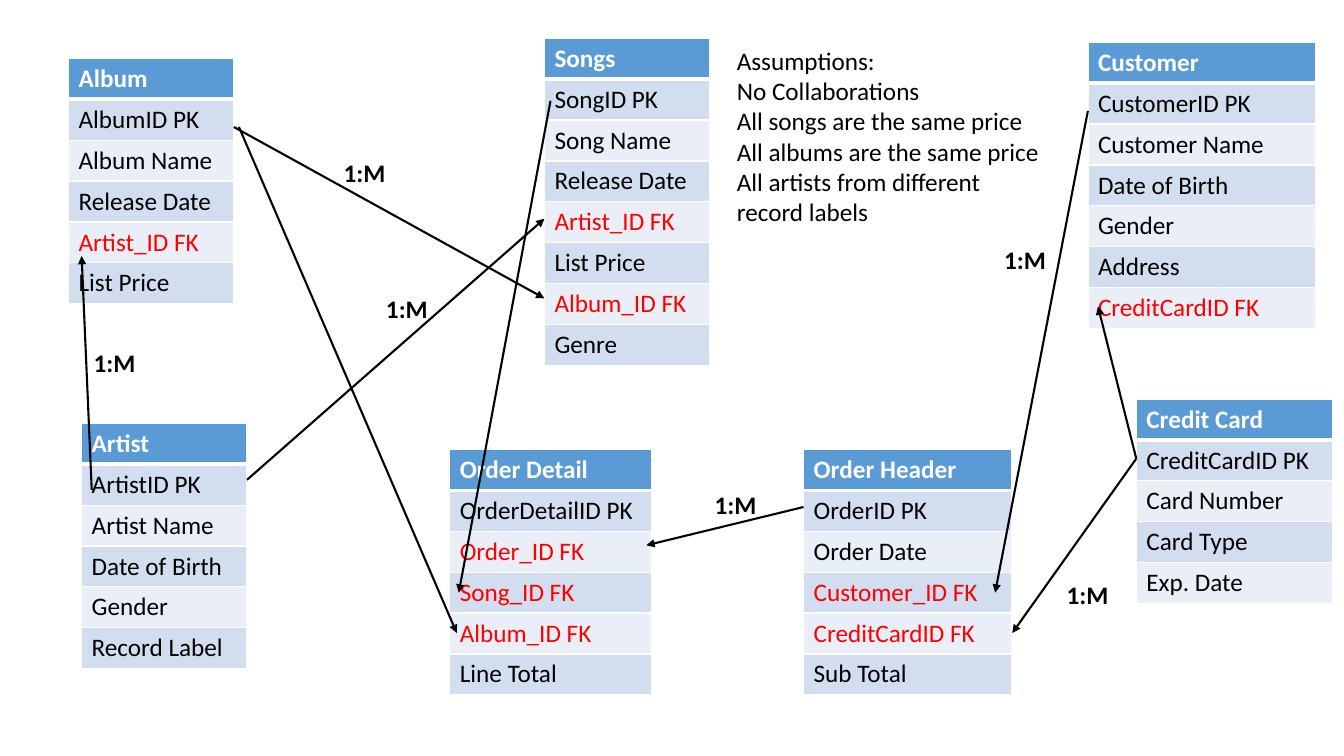
from dataclasses import dataclass

from lxml import etree
from pptx import Presentation
from pptx.dml.color import RGBColor
from pptx.enum.shapes import MSO_CONNECTOR
from pptx.enum.text import MSO_ANCHOR, MSO_AUTO_SIZE
from pptx.oxml.ns import qn
from pptx.util import Inches, Pt

STRAIGHT = MSO_CONNECTOR.STRAIGHT
TOP = MSO_ANCHOR.TOP
GROW = MSO_AUTO_SIZE.SHAPE_TO_FIT_TEXT
BLANK_LAYOUT = 6
ROW_HEIGHT = Inches(3.24) // 8


@dataclass(frozen=True)
class Theme:
    font: str = "Calibri"
    size: int = 18
    text: str = "000000"
    foreign_key: str = "FF0000"
    header: str = "5B9BD5"
    header_text: str = "FFFFFF"
    bands: tuple = ("D2DEEF", "EAEFF7")
    border: str = "FFFFFF"
    thin: float = 1
    thick: float = 3
    link: float = 1.5


THEME = Theme()

ENTITIES = [
    (0.68, 0.58, 1.64, ["Album", "AlbumID PK", "Album Name", "Release Date",
                        "Artist_ID FK", "List Price"]),
    (5.4, 0.38, 1.64, ["Songs", "SongID PK", "Song Name", "Release Date",
                       "Artist_ID FK", "List Price", "Album_ID FK", "Genre"]),
    (0.81, 4.2, 1.64, ["Artist", "ArtistID PK", "Artist Name", "Date of Birth",
                       "Gender", "Record Label"]),
    (10.79, 0.42, 2.26, ["Customer", "CustomerID PK", "Customer Name",
                         "Date of Birth", "Gender", "Address", "CreditCardID FK"]),
    (4.46, 4.46, 2, ["Order Detail", "OrderDetailID PK", "Order_ID FK",
                     "Song_ID FK", "Album_ID FK", "Line Total"]),
    (7.97, 4.46, 2.06, ["Order Header", "OrderID PK", "Order Date",
                        "Customer_ID FK", "CreditCardID FK", "Sub Total"]),
    (11.27, 3.96, 1.95, ["Credit Card", "CreditCardID PK", "Card Number",
                         "Card Type", "Exp. Date"]),
]

RELATIONSHIPS = [
    (2.32, 1.26, 5.4, 2.96),
    (2.45, 4.76, 5.4, 2.17),
    (0.91, 4.86, 0.81, 2.54),
    (5.46, 1, 4.55, 5.88),
    (2.37, 1.26, 4.53, 6.28),
    (7.97, 5.03, 6.41, 5.41),
    (10.79, 1.1, 9.87, 5.88),
    (11.27, 4.55, 10.04, 6.28),
    (11.27, 4.55, 10.89, 3.04),
]

CARDINALITY = "1:M"
CARDINALITY_SPOTS = [(3.73, 2.86), (3.31, 1.51), (6.99, 4.81), (9.86, 2.37), (10.48, 5.7)]

ASSUMPTIONS = [
    "Assumptions:",
    "No Collaborations",
    "All songs are the same price",
    "All albums are the same price",
    "All artists from different record labels",
]


def write(paragraph, text, color, bold=False):
    run = paragraph.add_run()
    run.text = text
    formats = {"name": THEME.font, "size": Pt(THEME.size), "bold": bold}
    for attribute, value in formats.items():
        setattr(run.font, attribute, value)
    run.font.color.rgb = RGBColor.from_string(color)


def add_borders(cell, top, bottom):
    properties = cell._tc.get_or_add_tcPr()
    widths = {"a:lnL": THEME.thin, "a:lnR": THEME.thin, "a:lnT": top, "a:lnB": bottom}
    for side, width in widths.items():
        line = etree.SubElement(properties, qn(side), w=str(Pt(width)))
        fill = etree.SubElement(line, qn("a:solidFill"))
        etree.SubElement(fill, qn("a:srgbClr"), val=THEME.border)


def fill_cell(cell, row, text):
    is_header = row == 0
    if is_header:
        background, color = THEME.header, THEME.header_text
    else:
        background = THEME.bands[(row - 1) % 2]
        color = THEME.foreign_key if text.endswith("FK") else THEME.text
    add_borders(cell,
                top=THEME.thick if row == 1 else THEME.thin,
                bottom=THEME.thick if is_header else THEME.thin)
    cell.fill.solid()
    cell.fill.fore_color.rgb = RGBColor.from_string(background)
    cell.vertical_anchor = TOP
    write(cell.text_frame.paragraphs[0], text, color, bold=is_header)


def add_entity(slide, left, top, width, fields):
    entity = slide.shapes.add_table(
        len(fields), 1, Inches(left), Inches(top), Inches(width),
        ROW_HEIGHT * len(fields)).table
    entity.horz_banding = False
    for row, field in enumerate(fields):
        entity.rows[row].height = ROW_HEIGHT
        fill_cell(entity.cell(row, 0), row, field)


def add_relationship(slide, *ends):
    link = slide.shapes.add_connector(STRAIGHT, *map(Inches, ends))
    link.line.color.rgb = RGBColor.from_string(THEME.text)
    link.line.width = Pt(THEME.link)
    etree.SubElement(link.line._get_or_add_ln(), qn("a:tailEnd"), type="triangle")
    etree.SubElement(link._element.spPr, qn("a:effectLst"))


def add_note(slide, left, top, width, height, lines, bold=False, wrap=True):
    frame = slide.shapes.add_textbox(*map(Inches, (left, top, width, height))).text_frame
    frame.word_wrap = wrap
    frame.auto_size = GROW
    for index, line in enumerate(lines):
        paragraph = frame.add_paragraph() if index else frame.paragraphs[0]
        write(paragraph, line, THEME.text, bold)


def main():
    deck = Presentation()
    deck.slide_width, deck.slide_height = Inches(13.33), Inches(7.5)
    slide = deck.slides.add_slide(deck.slide_layouts[BLANK_LAYOUT])
    for entity in ENTITIES:
        add_entity(slide, *entity)
    for ends in RELATIONSHIPS:
        add_relationship(slide, *ends)
    add_note(slide, 0.83, 3.4, 0.71, 0.41, [CARDINALITY], bold=True)
    for left, top in CARDINALITY_SPOTS:
        add_note(slide, left, top, 0.62, 0.4, [CARDINALITY], bold=True, wrap=False)
    add_note(slide, 7.21, 0.4, 3.24, 1.92, ASSUMPTIONS)
    deck.save("out.pptx")


if __name__ == "__main__":
    main()
